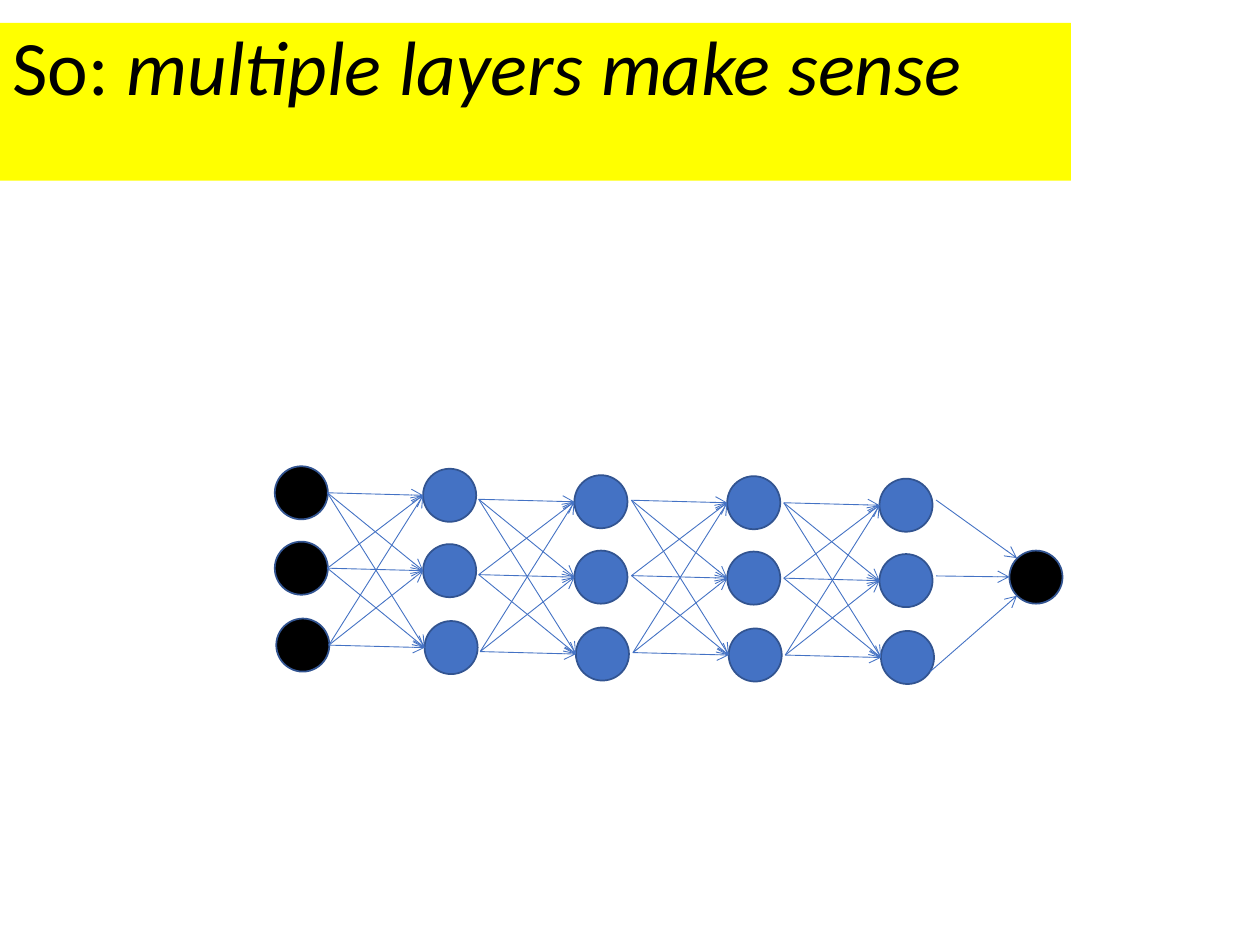
"""Build a slide showing a neural network with several hidden layers."""
from dataclasses import dataclass

from lxml import etree
from pptx import Presentation
from pptx.dml import color
from pptx.enum import shapes, text
from pptx.oxml import ns
from pptx.util import Cm, Pt


@dataclass
class Theme:
    font: str = "Calibri"
    size: float = 44
    ink: str = "000000"
    band: str = "FFFF00"
    node: str = "4472C4"
    rim: str = "325491"
    rim_pt: float = 1
    link_pt: float = 0.5


theme = Theme()
rgb = color.RGBColor.from_string

deck = Presentation()
deck.slide_width, deck.slide_height = Cm(25.4), Cm(19.05)
slide = deck.slides.add_slide(deck.slide_layouts[5])

title = slide.shapes.title
title.left, title.top = Cm(0), Cm(0.46)
title.width, title.height = Cm(21.59), Cm(3.18)
title.fill.solid()
title.fill.fore_color.rgb = rgb(theme.band)
frame = title.text_frame
frame.word_wrap = True
frame.auto_size = text.MSO_AUTO_SIZE.NONE
frame.vertical_anchor = text.MSO_ANCHOR.TOP
para = frame.paragraphs[0]
para.alignment = text.PP_ALIGN.LEFT
para.line_spacing = 0.9
for words, slant in (("So: ", False), ("multiple layers make sense", True)):
    run = para.add_run()
    run.text = words
    run.font.name = theme.font
    run.font.size = Pt(theme.size)
    run.font.italic = slant
    run.font.color.rgb = rgb(theme.ink)

SIZE = 1.07
MID = SIZE / 2
ROWS = ((0, 0), (0, 1.52), (0.03, 3.07))
LAYERS = ((5.54, 9.4), (8.53, 9.45), (11.58, 9.58), (14.66, 9.6), (17.73, 9.65))
OUTPUT = (20.35, 11.1)
REACH, RISE = 1.93, 0.05


def add_node(x, y, fill):
    node = slide.shapes.add_shape(
        shapes.MSO_SHAPE.OVAL, Cm(x), Cm(y), Cm(SIZE), Cm(SIZE))
    node.shadow.inherit = False
    node.fill.solid()
    node.fill.fore_color.rgb = rgb(fill)
    node.line.color.rgb = rgb(theme.rim)
    node.line.width = Pt(theme.rim_pt)


def add_link(start, end):
    link = slide.shapes.add_connector(
        shapes.MSO_CONNECTOR.STRAIGHT, *map(Cm, start + end))
    link.line.color.rgb = rgb(theme.node)
    link.line.width = Pt(theme.link_pt)
    tail = etree.SubElement(link.line._get_or_add_ln(), ns.qn("a:tailEnd"))
    tail.set("type", "arrow")
    etree.SubElement(link._element.spPr, ns.qn("a:effectLst"))


for rank, (left, top) in enumerate(LAYERS):
    for dx, dy in ROWS:
        add_node(left + dx, top + dy, theme.node if rank else theme.ink)
    if rank:
        ends = [(left + dx, top + dy + MID) for dx, dy in ROWS]
        for x, y in ends:
            for end in ends:
                add_link((x - REACH, y - RISE), end)

add_node(*OUTPUT, theme.ink)
for start, end in (
    ((18.87, 10.08), (20.5, 11.25)),
    ((18.87, 11.61), (20.35, 11.63)),
    ((18.75, 13.54), (20.5, 12.01)),
):
    add_link(start, end)

deck.save("out.pptx")
